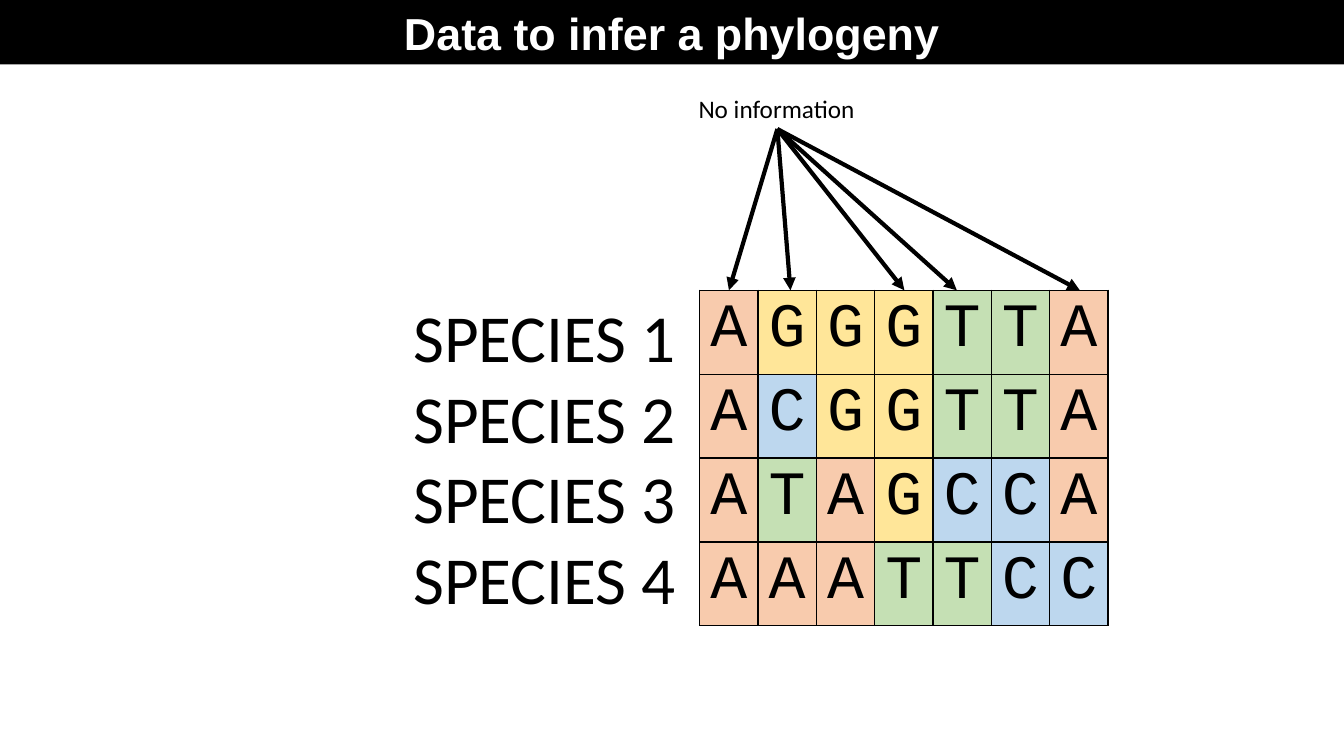
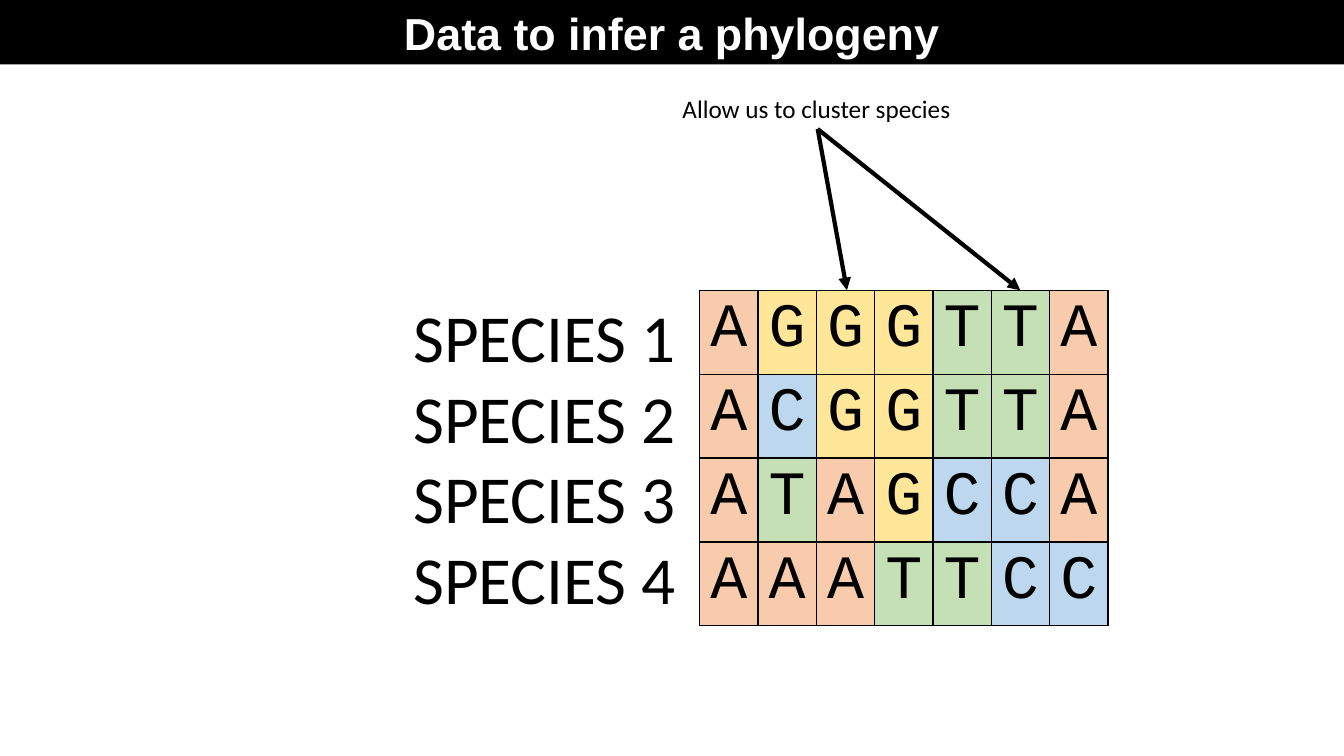
from typing import Any, NamedTuple

from lxml.etree import SubElement as Sub
from pptx import Presentation
from pptx.dml.color import RGBColor
from pptx.enum.shapes import MSO_CONNECTOR as Conn
from pptx.enum.text import MSO_ANCHOR as Anchor, MSO_AUTO_SIZE as Auto, PP_ALIGN as Align
from pptx.oxml.ns import qn
from pptx.util import Inches, Pt

BLACK, WHITE = "000000", "FFFFFF"
HEAD = "Data to infer a phylogeny"
ROWS = ("AGGGTTA", "ACGGTTA", "ATAGCCA", "AAATTCC")
FILLS = {"A": "F8CBAD", "C": "BDD7EE", "G": "FFE699", "T": "C5E0B4"}
WIDE, BAND = 13.33, 0.64
LEFT, TOP, SPAN, TALL = 6.94, 2.88, 4.05, 3.33


class Box(NamedTuple):
    x: float
    y: float
    w: float
    h: float


class Style(NamedTuple):
    face: str
    size: int
    color: str = BLACK
    bold: bool = False


class Note(NamedTuple):
    text: str
    box: Box
    start: float
    ends: tuple[float, ...]


TITLE = Style("Arial", 32, WHITE, True)
BASE = Style("Courier New", 44)
NAME = Style("Calibri", 48)
LABEL = Style("Calibri", 18)

NOTES = (
    Note("No information", Box(6.83, 0.88, 1.77, 0.4), 7.71,
         (7.23, 7.84, 9.49, 8.97, 10.71)),
    Note("Allow us to cluster species", Box(6.67, 0.88, 2.89, 0.4), 8.11,
         (8.4, 10.12)),
)


def paint(part: Any, color: str) -> None:
    part.solid()
    part.fore_color.rgb = RGBColor.from_string(color)


def style(para: Any, look: Style, align: Any = Align.LEFT) -> None:
    para.alignment = align
    form = {"name": look.face, "size": Pt(look.size), "bold": look.bold}
    for key, value in form.items():
        setattr(para.font, key, value)
    paint(para.font.fill, look.color)


def add_title(slide: Any) -> None:
    title = slide.shapes.title
    place = {"left": 0, "top": 0, "width": Inches(WIDE), "height": Inches(BAND)}
    for key, value in place.items():
        setattr(title, key, value)
    paint(title.fill, BLACK)
    frame = title.text_frame
    frame.text = HEAD
    frame.auto_size = Auto.NONE
    frame.vertical_anchor = Anchor.MIDDLE
    style(frame.paragraphs[0], TITLE, Align.CENTER)


def add_text(slide: Any, box: Box, lines: list[str], look: Style) -> None:
    frame = slide.shapes.add_textbox(*map(Inches, box)).text_frame
    frame.word_wrap = False
    frame.text = "\n".join(lines)
    for para in frame.paragraphs:
        style(para, look)


def add_edges(cell: Any) -> None:
    props = cell._tc.get_or_add_tcPr()
    for side in "LRTB":
        edge = Sub(props, qn(f"a:ln{side}"), w=str(Pt(1)))
        Sub(Sub(edge, qn("a:solidFill")), qn("a:srgbClr"), val=BLACK)


def add_grid(slide: Any) -> None:
    count, width = len(ROWS), len(ROWS[0])
    box = map(Inches, (LEFT, TOP, SPAN, TALL))
    table = slide.shapes.add_table(count, width, *box).table
    for r, row in enumerate(ROWS):
        for c, base in enumerate(row):
            cell = table.cell(r, c)
            cell.text = base
            style(cell.text_frame.paragraphs[0], BASE, Align.CENTER)
            add_edges(cell)
            paint(cell.fill, FILLS[base])


def add_arrow(slide: Any, start: float, top: float, end: float) -> None:
    ends = map(Inches, (start, top, end, TOP))
    arrow = slide.shapes.add_connector(Conn.STRAIGHT, *ends)
    arrow.line.width = Pt(3)
    paint(arrow.line.fill, BLACK)
    Sub(arrow.line._get_or_add_ln(), qn("a:tailEnd"), type="triangle")
    Sub(arrow._element.spPr, qn("a:effectLst"))


def add_note(slide: Any, note: Note) -> None:
    add_text(slide, note.box, [note.text], LABEL)
    for end in note.ends:
        add_arrow(slide, note.start, note.box.y + note.box.h, end)


def main() -> None:
    deck = Presentation()
    deck.slide_width, deck.slide_height = Inches(WIDE), Inches(7.5)
    names = [f"SPECIES {i}" for i in range(1, len(ROWS) + 1)]
    for note in NOTES:
        slide = deck.slides.add_slide(deck.slide_layouts[5])
        add_title(slide)
        add_grid(slide)
        add_text(slide, Box(4, TOP, 2.83, TALL), names, NAME)
        add_note(slide, note)
    deck.save("out.pptx")


if __name__ == "__main__":
    main()
